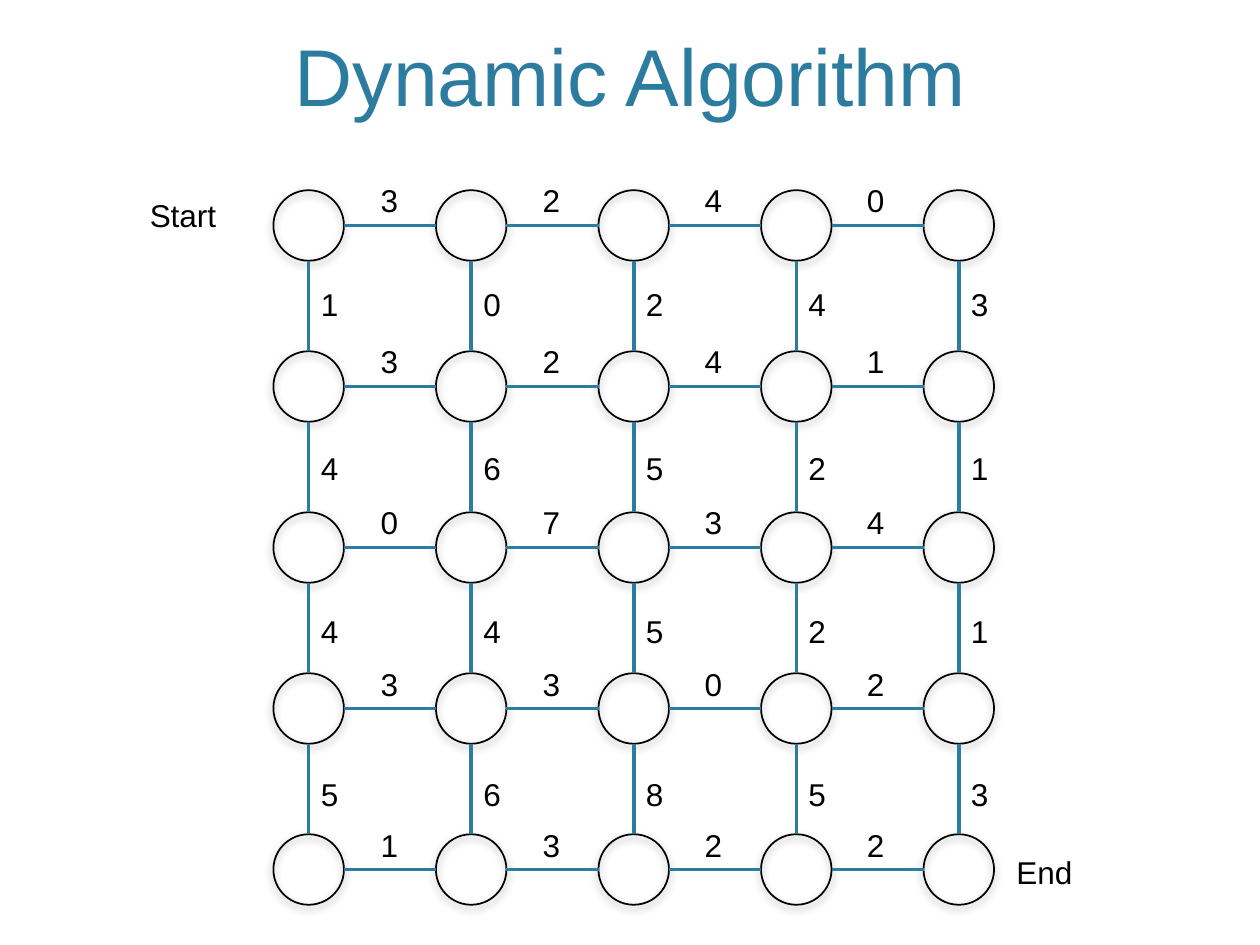
"""Draw a weighted grid graph for a dynamic programming lesson."""
from dataclasses import dataclass
from itertools import product

from lxml import etree
from pptx import Presentation
from pptx import util as u
from pptx.dml.color import RGBColor
from pptx.enum import shapes, text
from pptx.oxml import ns

TOP, LEFT, BASE, RIGHT = 0, 2, 4, 6  # connection sites of an ellipse
SIZE = 5
ACROSS = ["3240", "3241", "0734", "3302", "1322"]
DOWN = ["10243", "46521", "44521", "56853"]

NODE_X, NODE_Y = 156.24, 108.72
STEP_X, STEP_Y = 92.88, 92
DIAM = 40.32
TAG_W, TAG_H = 26, 29


@dataclass(frozen=True)
class Theme:
    """Colours, font and sizes in points."""
    ink: RGBColor = RGBColor(0, 0, 0)
    blue: RGBColor = RGBColor(0x2C, 0x7C, 0x9F)
    font: str = "Arial"
    head: float = 46
    body: float = 18
    rim: float = 1
    edge: float = 2


def assign(item, values):
    """Set each attribute of item from a dict."""
    for name, value in values.items():
        setattr(item, name, value)


def effect(shape):
    """Append an empty effect list to a shape and return it."""
    return etree.SubElement(shape._element.spPr, ns.qn("a:effectLst"))


class Canvas:
    """Add styled elements to one slide."""

    def __init__(self, slide, theme):
        """Keep the slide and its theme."""
        self.slide = slide
        self.theme = theme

    def words(self, words, box, size, color, para=None, **frame):
        """Add one line of text in a box."""
        shape = self.slide.shapes.add_textbox(*map(u.Pt, box))
        body = shape.text_frame
        assign(body, {"word_wrap": False, **frame})
        line = body.paragraphs[0]
        assign(line, para or {})
        run = line.add_run()
        run.text = words
        assign(run.font, {"name": self.theme.font, "size": u.Pt(size)})
        run.font.color.rgb = color

    def title(self, words, box):
        """Add the slide title."""
        self.words(words, box, self.theme.head, self.theme.blue,
                   {"alignment": text.PP_ALIGN.CENTER}, word_wrap=True,
                   vertical_anchor=text.MSO_ANCHOR.BOTTOM)

    def label(self, words, x, y, width=TAG_W):
        """Add a short label."""
        self.words(words, (x, y, width, TAG_H), self.theme.body, self.theme.ink,
                   auto_size=text.MSO_AUTO_SIZE.SHAPE_TO_FIT_TEXT)

    def node(self, x, y):
        """Add a hollow circle with a soft shadow."""
        oval = self.slide.shapes.add_shape(
            shapes.MSO_SHAPE.OVAL, *map(u.Pt, (x, y, DIAM, DIAM)))
        oval.fill.background()
        oval.line.color.rgb = self.theme.ink
        oval.line.width = u.Pt(self.theme.rim)
        shade = etree.SubElement(
            effect(oval), ns.qn("a:outerShdw"), blurRad=str(u.Pt(5)),
            dist=str(u.Pt(2)), dir="5400000", rotWithShape="0")
        color = etree.SubElement(shade, ns.qn("a:srgbClr"), val=str(self.theme.ink))
        etree.SubElement(color, ns.qn("a:alpha"), val="40000")
        return oval

    def link(self, start, out, end, into):
        """Join two nodes at the given connection sites."""
        line = self.slide.shapes.add_connector(
            shapes.MSO_CONNECTOR.STRAIGHT, 0, 0, 0, 0)
        # Ellipse sites run 0 to 7; the helper places ends on 0 to 3 only.
        line.begin_connect(start, out // 2)
        line.end_connect(end, into // 2)
        for tag, site in (("a:stCxn", out), ("a:endCxn", into)):
            line._element.find(".//" + ns.qn(tag)).set("idx", str(site))
        line.line.color.rgb = self.theme.blue
        line.line.width = u.Pt(self.theme.edge)
        effect(line)


def graph(canvas):
    """Draw the nodes, the edges and their weights."""
    nodes = {(row, col): canvas.node(NODE_X + col * STEP_X, NODE_Y + row * STEP_Y)
             for row, col in product(range(SIZE), repeat=2)}
    for row, costs in enumerate(ACROSS):
        for col, cost in enumerate(costs):
            canvas.link(nodes[row, col], RIGHT, nodes[row, col + 1], LEFT)
            canvas.label(cost, 210.4 + col * 92.6, 99.7 + row * 92.2)
    for row, costs in enumerate(DOWN):
        for col, cost in enumerate(costs):
            canvas.link(nodes[row + 1, col], TOP, nodes[row, col], BASE)
            canvas.label(cost, 176.2 + col * STEP_X, 159.6 + row * 93.3)


def main():
    """Build and save the slide."""
    deck = Presentation()
    assign(deck, {"slide_width": u.Pt(720), "slide_height": u.Pt(540)})
    canvas = Canvas(deck.slides.add_slide(deck.slide_layouts[6]), Theme())
    canvas.title("Dynamic Algorithm", (43.2, 8.64, 633.6, 64.8))
    graph(canvas)
    canvas.label("Start", 78.5, 108.7, 58.3)
    canvas.label("End", 573.8, 483.8, 48.2)
    deck.save("out.pptx")


main()
